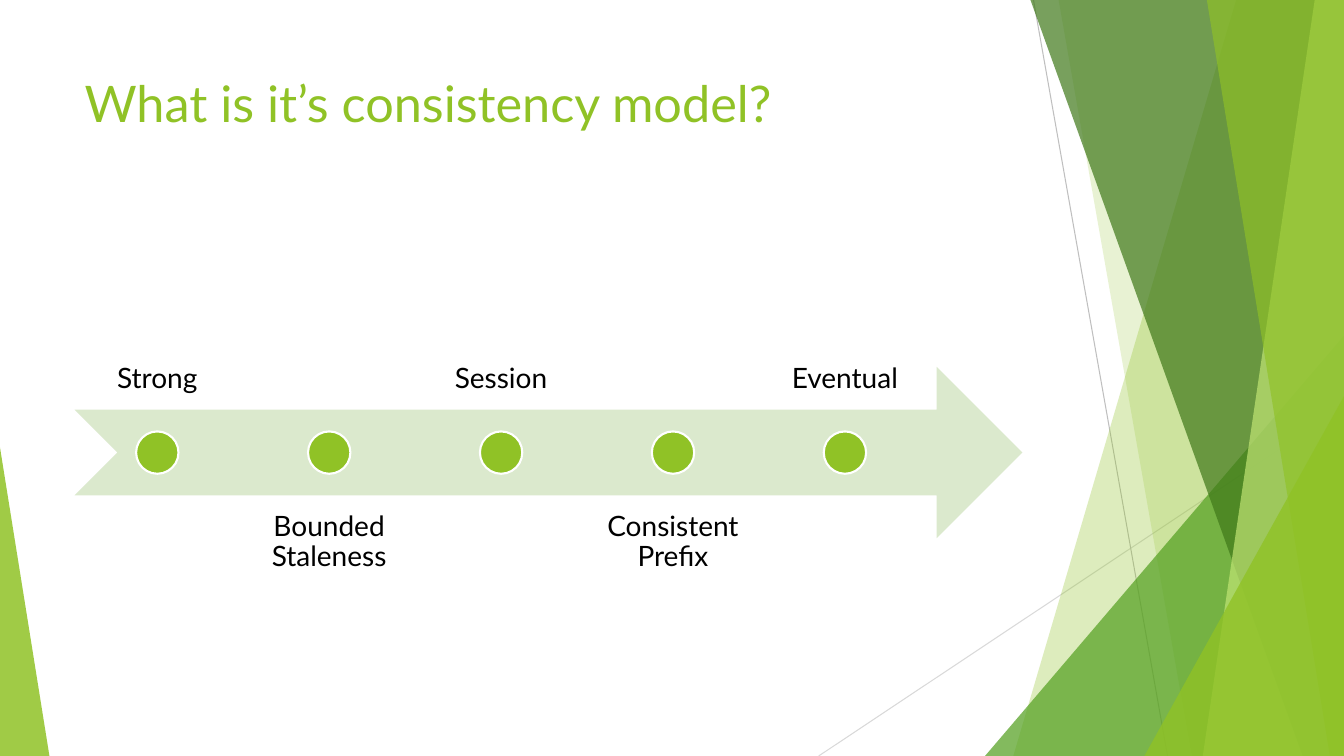
from dataclasses import dataclass

from lxml.etree import SubElement
from pptx import Presentation
from pptx.dml.color import RGBColor
from pptx.enum.shapes import MSO_CONNECTOR, MSO_SHAPE
from pptx.enum.text import MSO_ANCHOR, PP_ALIGN
from pptx.oxml.ns import qn
from pptx.util import Pt

PX = 9144  # EMU per px, 100 px to the inch
SLIDE_W, SLIDE_H = 1333, 750


@dataclass(frozen=True)
class Theme:
    font: str = "Lato"
    title_size: int = 36
    label_size: int = 20
    green: str = "90C226"
    leaf: str = "54A021"
    forest: str = "3F7819"
    lime: str = "C0E474"
    arrow: str = "DBE9CD"
    text: str = "000000"
    white: str = "FFFFFF"
    light_rule: str = "D9D9D9"
    dark_rule: str = "BFBFBF"


THEME = Theme()

RULES = [
    ((812, 750), (1333, 403), THEME.light_rule),
    ((1025, 0), (1158, 750), THEME.dark_rule),
]
# Corner points, colour, opacity in percent; back to front
FACETS = [
    ([(1226, 0), (1005, 750), (1333, 750), (1333, 0)], THEME.green, 30),
    ([(1050, 0), (1182, 750), (1333, 750), (1333, 0)], THEME.green, 20),
    ([(977, 750), (1333, 333), (1333, 750)], THEME.leaf, 72),
    ([(1022, 0), (1292, 750), (1333, 750), (1333, 0)], THEME.forest, 70),
    ([(1304, 0), (1193, 750), (1333, 750), (1333, 0)], THEME.lime, 70),
    ([(1197, 0), (1319, 750), (1333, 750), (1333, 0)], THEME.green, 65),
    ([(1135, 750), (1333, 393), (1333, 750)], THEME.green, 80),
    ([(0, 444), (49, 750), (0, 750)], THEME.green, 85),
]
LEVELS = ["Strong", "Bounded Staleness", "Session", "Consistent Prefix", "Eventual"]


def emu(*lengths):
    return [round(length * PX) for length in lengths]


def paint(shape, color, opacity=100, outline=None):
    shape.shadow.inherit = False
    shape.fill.solid()
    shape.fill.fore_color.rgb = RGBColor.from_string(color)
    if opacity < 100:
        srgb = shape.fill._xPr.find(qn("a:solidFill")).find(qn("a:srgbClr"))
        SubElement(srgb, qn("a:alpha"), val=str(opacity * 1000))
    if outline:
        shape.line.color.rgb = RGBColor.from_string(outline)
        shape.line.width = Pt(1.5)
    else:
        shape.line.fill.background()


def add_text(shapes, text, box, *, size, color, align=PP_ALIGN.LEFT,
             anchor=MSO_ANCHOR.TOP, inset=(10, 5), line_spacing=1.0):
    frame = shapes.add_textbox(*emu(*box)).text_frame
    frame.word_wrap = True
    frame.vertical_anchor = anchor
    frame.margin_left = frame.margin_right = inset[0] * PX
    frame.margin_top = frame.margin_bottom = inset[1] * PX
    paragraph = frame.paragraphs[0]
    paragraph.alignment = align
    paragraph.line_spacing = line_spacing
    run = paragraph.add_run()
    run.text = text
    run.font.name = THEME.font
    run.font.size = Pt(size)
    run.font.color.rgb = RGBColor.from_string(color)


def add_backdrop(shapes, box):
    """Thin rules and translucent facets, offset by the box's corner."""
    left, top = box[:2]
    for start, end, color in RULES:
        rule = shapes.add_connector(
            MSO_CONNECTOR.STRAIGHT,
            *emu(left + start[0], top + start[1], left + end[0], top + end[1]))
        rule.line.color.rgb = RGBColor.from_string(color)
        rule.line.width = Pt(0.75)
        SubElement(rule._element.spPr, qn("a:effectLst"))
    for corners, color, opacity in FACETS:
        first, *others = [(left + x, top + y) for x, y in corners]
        outline = shapes.build_freeform(*first, scale=PX)
        outline.add_line_segments(others, close=True)
        paint(outline.convert_to_shape(), color, opacity)


def add_title(shapes, box):
    add_text(shapes, "What is it’s consistency model?", box,
             size=THEME.title_size, color=THEME.green)


def add_consistency_arrow(shapes, box):
    """Notched arrow with evenly spaced levels, labelled above and below in turn."""
    left, top, width, height = box
    timeline = shapes.add_group_shape().shapes
    arrow = timeline.add_shape(MSO_SHAPE.NOTCHED_RIGHT_ARROW, *emu(*box))
    paint(arrow, THEME.arrow)

    dot = 42
    label_width = 163
    label_gap = 128  # offset of a label box from the arrow's top
    first_center = left + 82
    pitch = (width - 258) / (len(LEVELS) - 1)
    for index, level in enumerate(LEVELS):
        center = first_center + index * pitch
        above = index % 2 == 0
        label_top = top - label_gap if above else top + label_gap
        add_text(timeline, level,
                 (center - label_width / 2, label_top, label_width, height),
                 size=THEME.label_size, color=THEME.text, align=PP_ALIGN.CENTER,
                 anchor=MSO_ANCHOR.BOTTOM if above else MSO_ANCHOR.TOP,
                 inset=(16, 16), line_spacing=0.9)
        marker = timeline.add_shape(
            MSO_SHAPE.OVAL,
            *emu(center - dot / 2, top + (height - dot) / 2, dot, dot))
        paint(marker, THEME.green, outline=THEME.white)


def main():
    deck = Presentation()
    deck.slide_width, deck.slide_height = emu(SLIDE_W, SLIDE_H)
    shapes = deck.slides.add_slide(deck.slide_layouts[6]).shapes
    add_backdrop(shapes, (0, 0, SLIDE_W, SLIDE_H))
    add_title(shapes, (74, 67, 940, 144))
    add_consistency_arrow(shapes, (74, 364, 940, 170))
    deck.save("out.pptx")


if __name__ == "__main__":
    main()
